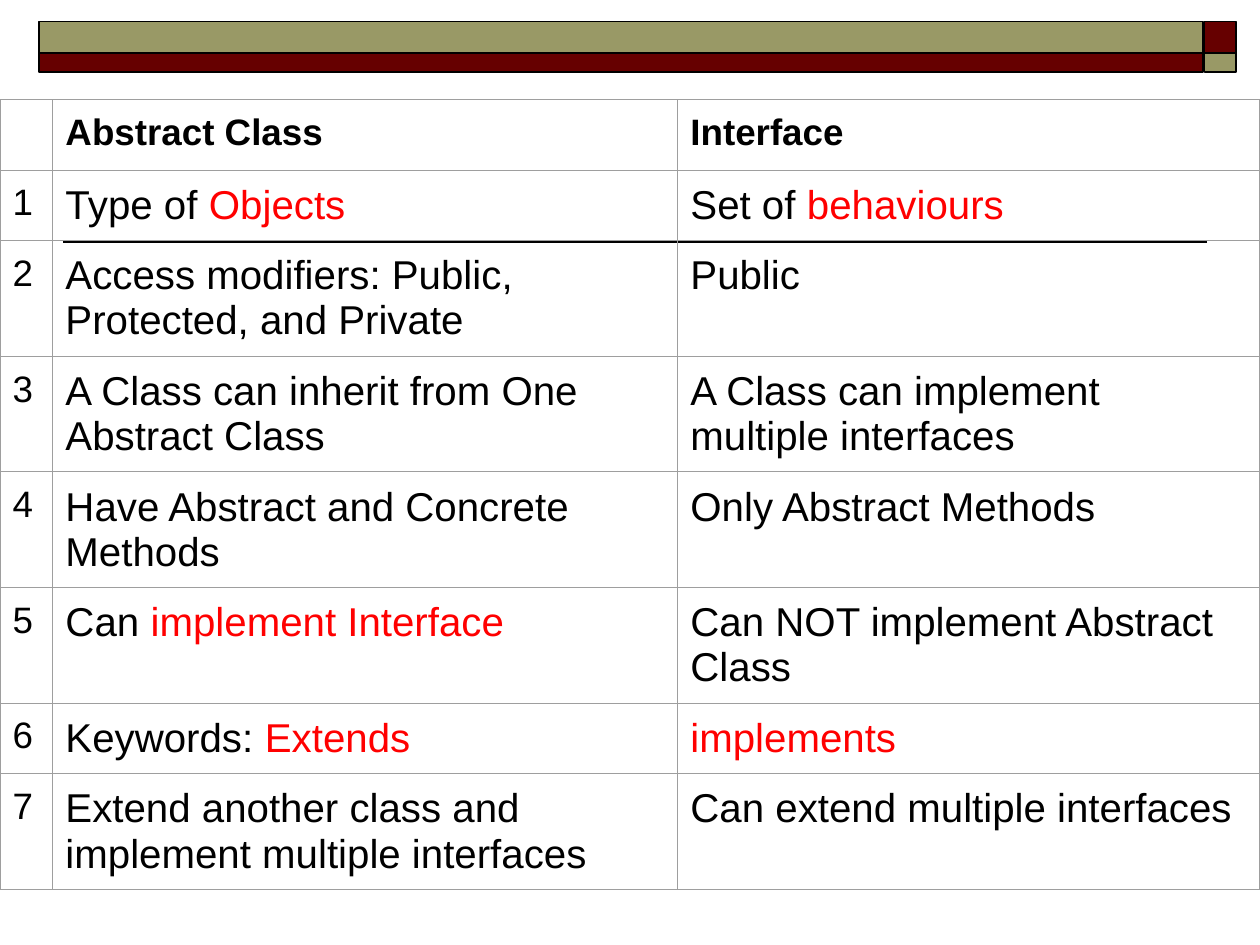
from lxml.etree import SubElement
from pptx import Presentation
from pptx.dml.color import RGBColor
from pptx.enum.shapes import MSO_CONNECTOR, MSO_SHAPE
from pptx.oxml.ns import qn
from pptx.util import Inches, Pt

BLACK, RED, MAROON, OLIVE, GREY = "000000", "FF0000", "660000", "999966", "9E9E9E"

# Text after an asterisk is highlighted in red.
HEADER = ("", "Abstract Class", "Interface")
COMPARISONS = [
    ("Type of *Objects", "Set of *behaviours"),
    ("Access modifiers: Public, Protected, and Private", "Public"),
    ("A Class can inherit from One Abstract Class",
     "A Class can implement multiple interfaces"),
    ("Have Abstract and Concrete Methods", "Only Abstract Methods"),
    ("Can *implement Interface", "Can NOT implement Abstract Class"),
    ("Keywords: *Extends", "*implements"),
    ("Extend another class and implement multiple interfaces",
     "Can extend multiple interfaces"),
]
COLUMN_WIDTHS = (0.42, 4.96, 4.62)
ROW_HEIGHT, TABLE_TOP, CELL_MARGIN = 0.56, 0.79, 0.1

BAND_COLUMNS = ((0.31, 9.24), (9.56, 0.25))  # left, width
BAND_ROWS = ((0.17, 0.25), (0.42, 0.15))  # top, height
BAND_COLORS = ((OLIVE, MAROON), (MAROON, OLIVE))


def color(value):
    return RGBColor.from_string(value)


def add_rule(slide):
    rule = slide.shapes.add_connector(
        MSO_CONNECTOR.STRAIGHT, Inches(9.58), Inches(1.92), Inches(0.5), Inches(1.92))
    rule.line.color.rgb = color(BLACK)
    rule.line.width = Pt(1)
    SubElement(rule.element.spPr, qn("a:effectLst"))


def add_band(slide):
    for (top, height), row_colors in zip(BAND_ROWS, BAND_COLORS):
        for (left, width), fill in zip(BAND_COLUMNS, row_colors):
            block = slide.shapes.add_shape(
                MSO_SHAPE.RECTANGLE, *map(Inches, (left, top, width, height)))
            block.shadow.inherit = False
            block.fill.solid()
            block.fill.fore_color.rgb = color(fill)
            block.line.color.rgb = color(BLACK)
            block.line.width = Pt(1)


def set_borders(cell):
    properties = cell._tc.get_or_add_tcPr()
    for position, side in enumerate(("lnL", "lnR", "lnT", "lnB")):
        border = SubElement(properties, qn(f"a:{side}"), w=str(Pt(0.75)))
        fill = SubElement(border, qn("a:solidFill"))
        SubElement(fill, qn("a:srgbClr"), val=GREY)
        properties.insert(position, border)  # borders precede the fill


def fill_cell(cell, text, size, bold):
    cell.fill.background()
    cell.margin_left = cell.margin_right = Inches(CELL_MARGIN)
    cell.margin_top = cell.margin_bottom = Inches(CELL_MARGIN)
    set_borders(cell)
    paragraph = cell.text_frame.paragraphs[0]
    paragraph.font.name = "Arial"
    paragraph.font.size = Pt(size)
    paragraph.font.bold = bold
    for piece, piece_color in zip(text.split("*"), (BLACK, RED)):
        if piece:
            run = paragraph.add_run()
            run.text = piece
            run.font.color.rgb = color(piece_color)


def add_comparison_table(slide):
    rows = [HEADER] + [(str(number), *pair) for number, pair in enumerate(COMPARISONS, 1)]
    table = slide.shapes.add_table(
        len(rows), len(HEADER), 0, Inches(TABLE_TOP),
        Inches(sum(COLUMN_WIDTHS)), Inches(ROW_HEIGHT * len(rows))).table
    table.first_row = table.horz_banding = False
    for column, width in zip(table.columns, COLUMN_WIDTHS):
        column.width = Inches(width)
    for row_index, texts in enumerate(rows):
        table.rows[row_index].height = Inches(ROW_HEIGHT)
        for column_index, text in enumerate(texts):
            is_label = row_index == 0 or column_index == 0
            fill_cell(table.cell(row_index, column_index), text,
                      size=21 if is_label else 23, bold=row_index == 0)


def main():
    presentation = Presentation()
    presentation.slide_width, presentation.slide_height = Inches(10), Inches(7.5)
    slide = presentation.slides.add_slide(presentation.slide_layouts[6])
    add_rule(slide)
    add_band(slide)
    add_comparison_table(slide)
    presentation.save("out.pptx")


if __name__ == "__main__":
    main()
